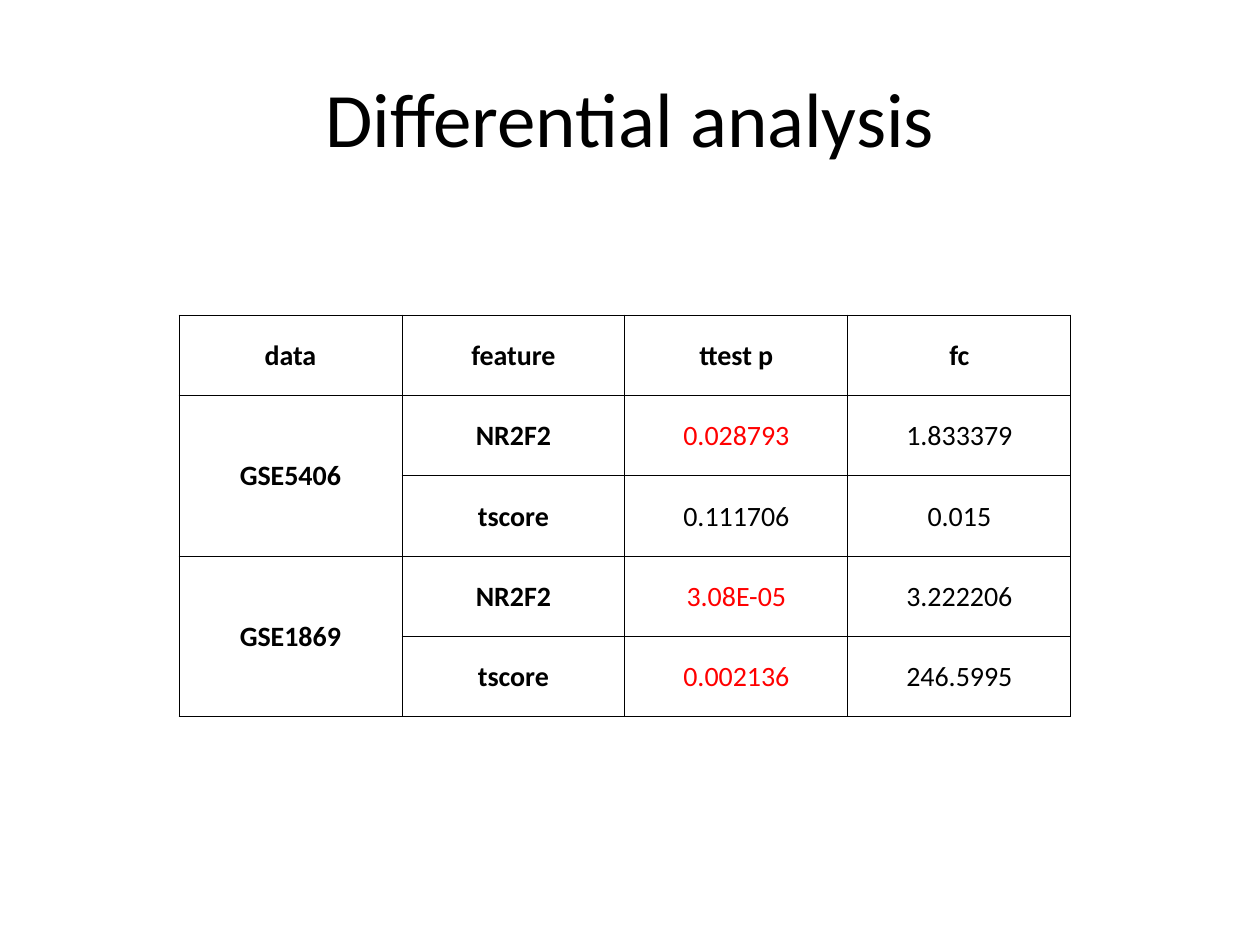
import dataclasses
import lxml.etree
import pptx
import pptx.dml.color
import pptx.enum.text
import pptx.oxml.ns
import pptx.util

Inches = pptx.util.Inches
qn = pptx.oxml.ns.qn


@dataclasses.dataclass(frozen=True)
class Theme:
    font: str = "Calibri"
    ink: str = "000000"
    alert: str = "FF0000"
    paper: str = "FFFFFF"
    title: int = 44
    body: int = 16
    rule: float = 0.5
    limit: float = 0.05


THEME = Theme()
HEADS = ["data", "feature", "ttest p", "fc"]
GROUPS = {
    "GSE5406": [("NR2F2", "0.028793", "1.833379"), ("tscore", "0.111706", "0.015")],
    "GSE1869": [("NR2F2", "3.08E-05", "3.222206"), ("tscore", "0.002136", "246.5995")],
}


def write(frame, text, size, color, bold=False):
    para = frame.paragraphs[0]
    para.text = text
    para.alignment = pptx.enum.text.PP_ALIGN.CENTER
    font = para.font
    font.name, font.size, font.bold = THEME.font, pptx.util.Pt(size), bold
    font.color.rgb = pptx.dml.color.RGBColor.from_string(color)


def border(cell):
    props = cell._tc.get_or_add_tcPr()
    for side in ("lnL", "lnR", "lnT", "lnB"):
        line = lxml.etree.SubElement(props, qn("a:" + side), w=str(pptx.util.Pt(THEME.rule)))
        fill = lxml.etree.SubElement(line, qn("a:solidFill"))
        lxml.etree.SubElement(fill, qn("a:srgbClr"), val=THEME.ink)


def style(cell):
    border(cell)
    cell.fill.solid()
    cell.fill.fore_color.rgb = pptx.dml.color.RGBColor.from_string(THEME.paper)
    cell.vertical_anchor = pptx.enum.text.MSO_ANCHOR.MIDDLE
    cell.margin_left = cell.margin_right = cell.margin_top = Inches(0.01)
    cell.margin_bottom = Inches(0)


def heading(slide, box, text):
    frame = slide.shapes.add_textbox(*map(Inches, box)).text_frame
    frame.word_wrap = True
    frame.vertical_anchor = pptx.enum.text.MSO_ANCHOR.MIDDLE
    write(frame, text, THEME.title, THEME.ink)


def results(slide, box, heads, groups):
    rows = [heads]
    spans = []
    for name, items in groups.items():
        spans.append((len(rows), len(rows) + len(items) - 1))
        rows += [(name if i == 0 else "", *item) for i, item in enumerate(items)]

    left, top, width, height = box
    table = slide.shapes.add_table(len(rows), len(heads), *map(Inches, box)).table
    for col in table.columns:
        col.width = Inches(width / len(heads))
    for row in table.rows:
        row.height = Inches(height / len(rows))

    for r, row in enumerate(rows):
        for c, text in enumerate(row):
            cell = table.cell(r, c)
            style(cell)
            alert = r > 0 and c == 2 and float(text) < THEME.limit
            color = THEME.alert if alert else THEME.ink
            write(cell.text_frame, text, THEME.body, color, r == 0 or c < 2)
    for first, last in spans:
        table.cell(first, 0).merge(table.cell(last, 0))


def main():
    deck = pptx.Presentation()
    deck.slide_width, deck.slide_height = Inches(10), Inches(7.5)
    slide = deck.slides.add_slide(deck.slide_layouts[6])
    heading(slide, (0.5, 0.3, 9, 1.25), "Differential analysis")
    results(slide, (1.42, 2.5, 7.08, 3.19), HEADS, GROUPS)
    deck.save("out.pptx")


main()
